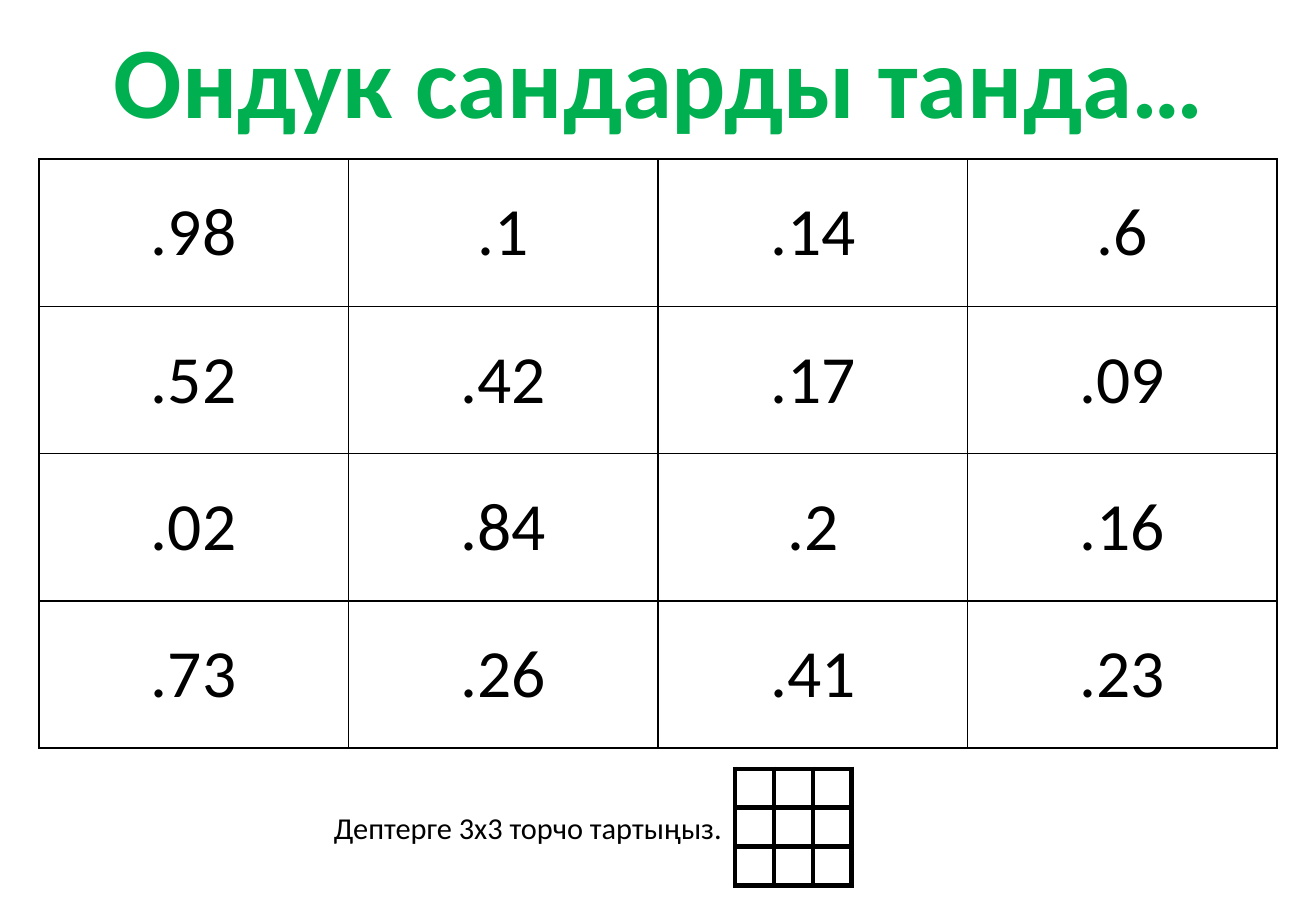
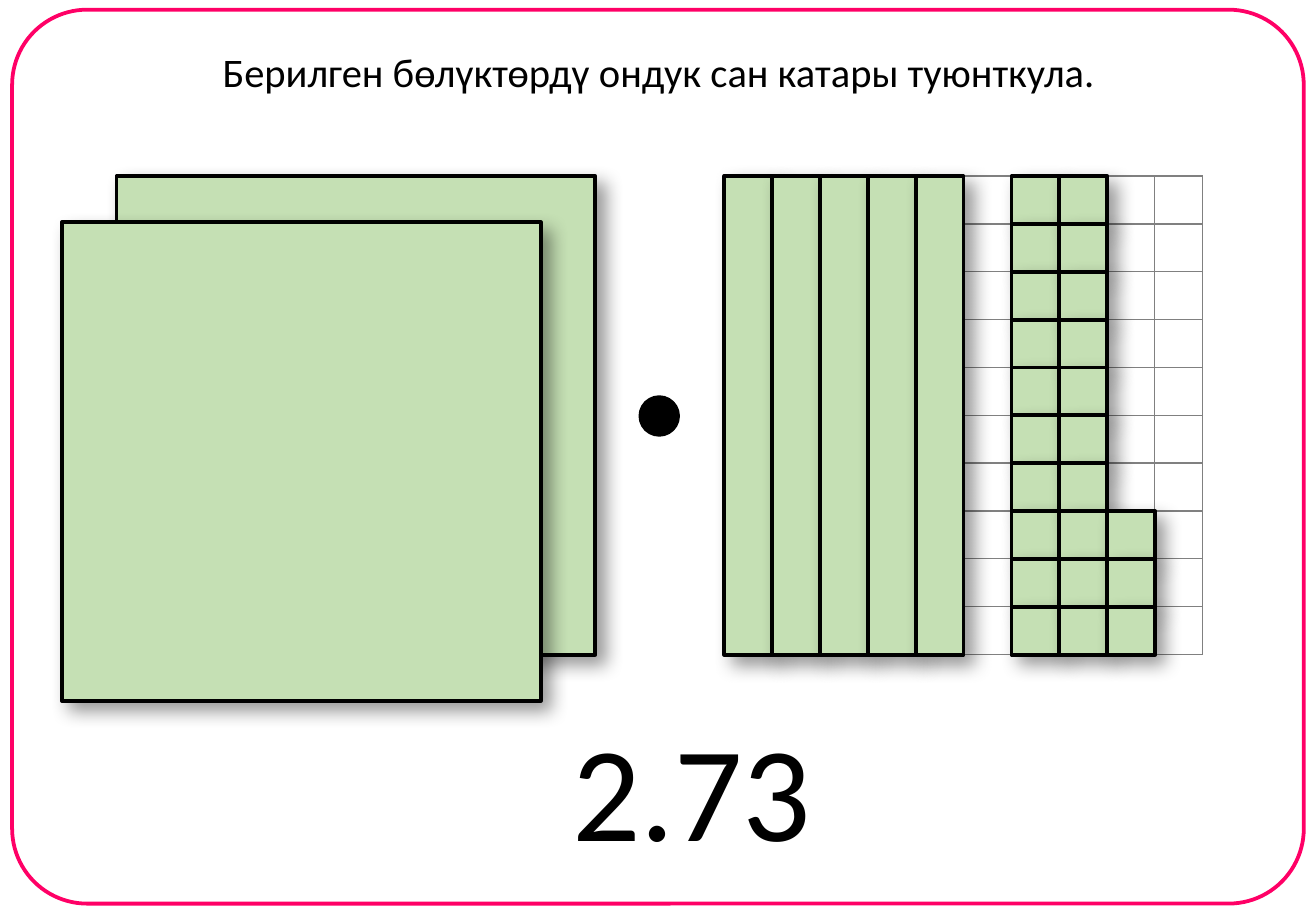
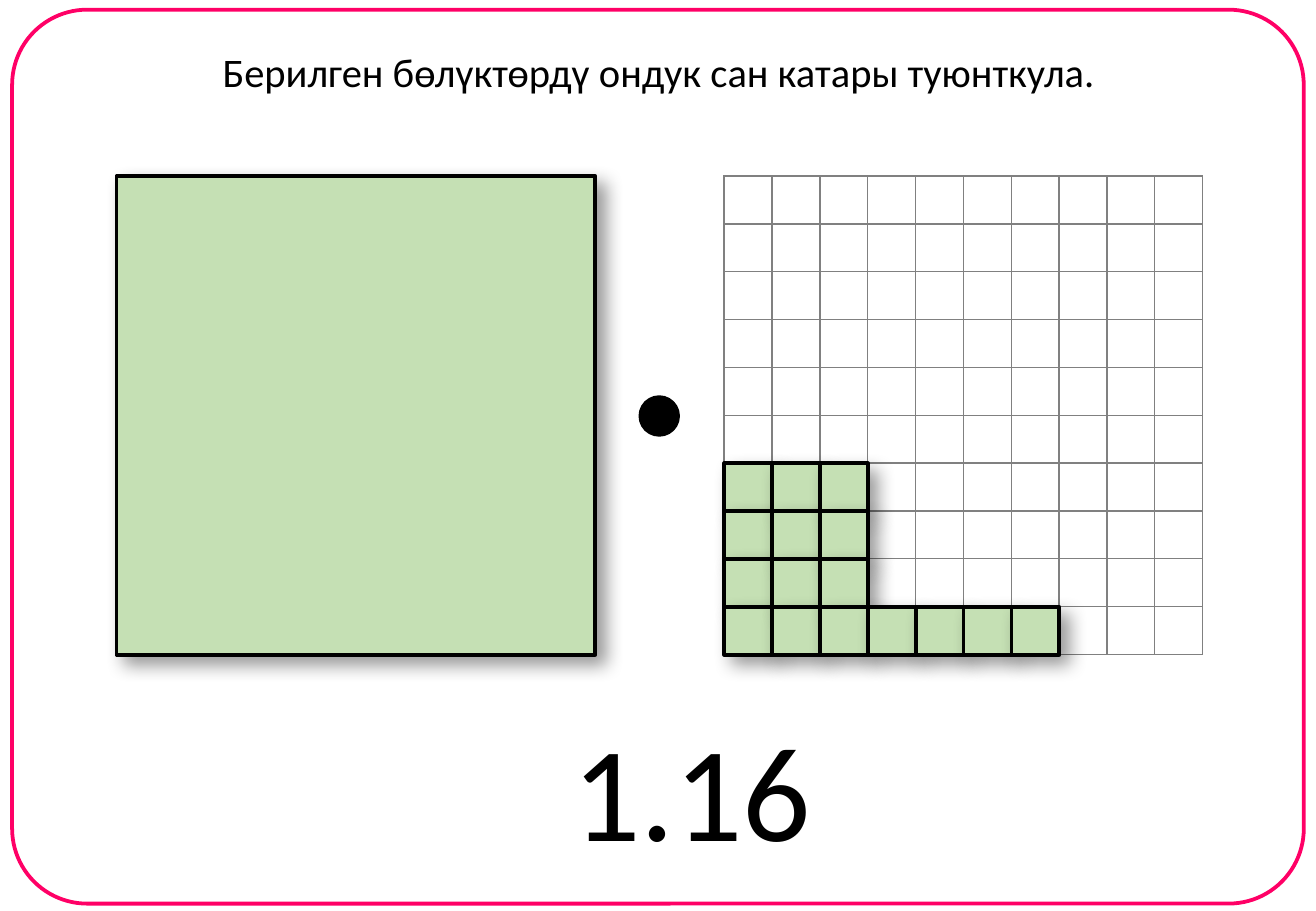
from itertools import product

from lxml.etree import SubElement
from pptx import Presentation
from pptx.dml.color import RGBColor
from pptx.enum.shapes import MSO_SHAPE
from pptx.enum.text import MSO_ANCHOR, MSO_AUTO_SIZE, PP_ALIGN
from pptx.oxml.ns import qn
from pptx.util import Inches, Pt

FONT = "Calibri"
BLACK, WHITE, GRAY = "000000", "FFFFFF", "808080"
TITLE_GREEN, PIECE_GREEN, FRAME_PINK = "00B050", "C5E0B4", "FF0066"

UNIT = 3.94  # side of one whole
CELLS = 10
CELL = UNIT / CELLS
GRID_LEFT, GRID_TOP = 5.96, 1.45

QUESTION = "Берилген бөлүктөрдү ондук сан катары туюнткула."
DECIMALS = [
    [".98", ".1", ".14", ".6"],
    [".52", ".42", ".17", ".09"],
    [".02", ".84", ".2", ".16"],
    [".73", ".26", ".41", ".23"],
]


def color(value):
    return RGBColor.from_string(value)


def add_solid_fill(parent, value):
    fill = SubElement(parent, qn("a:solidFill"))
    return SubElement(fill, qn("a:srgbClr"), val=value)


def format_paragraph(paragraph, size, value=BLACK, bold=False, align=PP_ALIGN.CENTER):
    paragraph.alignment = align
    for run in paragraph.runs:
        run.font.name = FONT
        run.font.size = Pt(size)
        run.font.bold = bold
        run.font.color.rgb = color(value)


def add_text(slide, text, box, size, **style):
    shape = slide.shapes.add_textbox(*map(Inches, box))
    frame = shape.text_frame
    frame.word_wrap = False
    frame.auto_size = MSO_AUTO_SIZE.SHAPE_TO_FIT_TEXT
    frame.text = text
    format_paragraph(frame.paragraphs[0], size, **style)
    return shape


def outline_text(shape, value, width):
    for run in shape.text_frame.paragraphs[0].runs:
        properties = run.font._element
        line = SubElement(properties, qn("a:ln"), w=str(Pt(width)))
        add_solid_fill(line, value)
        properties.insert(0, line)


def add_shape(slide, kind, box, fill, line=BLACK):
    shape = slide.shapes.add_shape(kind, *map(Inches, box))
    shape.shadow.inherit = False
    if fill:
        shape.fill.solid()
        shape.fill.fore_color.rgb = color(fill)
    else:
        shape.fill.background()
    shape.line.color.rgb = color(line)
    shape.line.width = Pt(2.25)
    return shape


def add_grid(slide, box, columns, rows, border, border_width):
    """Add a white table of equal cells with uniform borders."""
    table = slide.shapes.add_table(rows, columns, *map(Inches, box)).table
    table.first_row = table.horz_banding = False
    for column in table.columns:
        column.width = Inches(box[2] / columns)
    for row in table.rows:
        row.height = Inches(box[3] / rows)
    for cell in table.iter_cells():
        cell.margin_left = cell.margin_right = 0
        cell.margin_top = cell.margin_bottom = 0
        cell.vertical_anchor = MSO_ANCHOR.MIDDLE
        properties = cell._tc.get_or_add_tcPr()
        for side in ("lnL", "lnR", "lnT", "lnB"):
            line = SubElement(properties, qn(f"a:{side}"), w=str(Pt(border_width)))
            add_solid_fill(line, border)
        cell.fill.solid()
        cell.fill.fore_color.rgb = color(WHITE)
    return table


def add_piece(slide, left, top, width, height):
    """Add a green part of the number with a soft shadow to the lower right."""
    piece = add_shape(slide, MSO_SHAPE.RECTANGLE, (left, top, width, height), PIECE_GREEN)
    effects = piece._element.spPr.find(qn("a:effectLst"))
    shadow = SubElement(effects, qn("a:outerShdw"), blurRad=str(Pt(11)), dist=str(Pt(7)),
                        dir=str(45 * 60000), algn="tl", rotWithShape="0")
    shadow_color = SubElement(shadow, qn("a:srgbClr"), val=BLACK)
    SubElement(shadow_color, qn("a:alpha"), val="40000")


def add_pieces(slide, first_column, first_row, columns, rows, length=1):
    """Fill part of the hundred grid with pieces that are length cells tall."""
    for column, row in product(range(columns), range(rows)):
        add_piece(slide, GRID_LEFT + (first_column + column) * CELL,
                  GRID_TOP + (first_row + row) * CELL, CELL, length * CELL)


def build_choice_slide(slide):
    table = add_grid(slide, (0.32, 1.31, 10.19, 4.85), 4, 4, BLACK, 1)
    for row, values in enumerate(DECIMALS):
        for column, value in enumerate(values):
            frame = table.cell(row, column).text_frame
            frame.text = value
            format_paragraph(frame.paragraphs[0], 40)
    title = add_text(slide, "Ондук сандарды танда…", (0.61, 0.09, 9.63, 1.11), 60,
                     value=TITLE_GREEN, bold=True)
    outline_text(title, BLACK, 0.75)
    add_grid(slide, (6.05, 6.33, 0.96, 0.96), 3, 3, BLACK, 3)
    add_text(slide, "Дептерге 3х3 торчо тартыңыз.", (2.65, 6.61, 3.44, 0.4), 18,
             align=PP_ALIGN.LEFT)


def build_number_slide(slide, answer, wholes, pieces):
    frame = add_shape(slide, MSO_SHAPE.ROUNDED_RECTANGLE, (0.1, 0.08, 10.63, 7.36),
                      None, FRAME_PINK)
    frame.adjustments[0] = 0.084
    add_grid(slide, (GRID_LEFT, GRID_TOP, UNIT, UNIT), CELLS, CELLS, GRAY, 1)
    for left, top in wholes:
        add_piece(slide, left, top, UNIT, UNIT)
    add_shape(slide, MSO_SHAPE.OVAL, (5.27, 3.27, 0.31, 0.31), BLACK)
    for block in pieces:
        add_pieces(slide, *block)
    add_text(slide, answer, (4.6, 5.77, 2.19, 1.45), 80)
    add_text(slide, QUESTION, (1.69, 0.34, 7.46, 0.5), 24)


def main():
    presentation = Presentation()
    presentation.slide_width = Inches(10.83)
    presentation.slide_height = Inches(7.5)
    blank = presentation.slide_layouts[6]
    whole = (0.96, GRID_TOP)

    build_choice_slide(presentation.slides.add_slide(blank))
    build_number_slide(presentation.slides.add_slide(blank), "2.73", [whole, (0.51, 1.83)],
                       [(0, 0, 5, 1, CELLS), (6, 0, 2, 10), (8, 7, 1, 3)])
    build_number_slide(presentation.slides.add_slide(blank), "1.16", [whole],
                       [(0, 6, 3, 4), (3, 9, 4, 1)])
    presentation.save("out.pptx")


if __name__ == "__main__":
    main()
